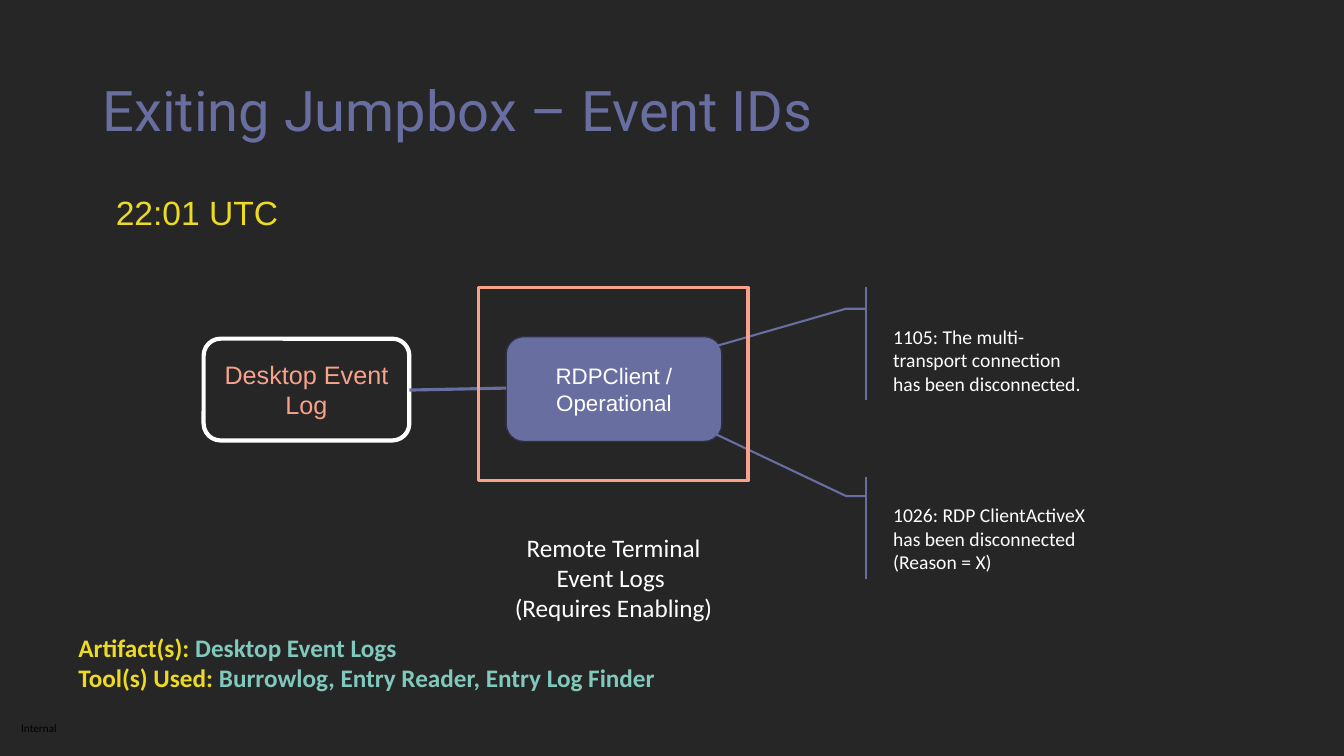
from lxml import etree
from pptx import Presentation
from pptx.dml.color import RGBColor
from pptx.enum.shapes import MSO_CONNECTOR, MSO_SHAPE
from pptx.enum.text import MSO_ANCHOR, PP_ALIGN
from pptx.oxml.ns import qn
from pptx.util import Inches, Pt

ROUNDED, RECTANGLE = MSO_SHAPE.ROUNDED_RECTANGLE, MSO_SHAPE.RECTANGLE
CALLOUT = MSO_SHAPE.LINE_CALLOUT_2_ACCENT_BAR
STRAIGHT = MSO_CONNECTOR.STRAIGHT
MIDDLE, BOTTOM, TOP = MSO_ANCHOR.MIDDLE, MSO_ANCHOR.BOTTOM, MSO_ANCHOR.TOP
LEFT, CENTER = PP_ALIGN.LEFT, PP_ALIGN.CENTER

BACKGROUND, WHITE, BLACK = "262626", "FFFFFF", "000000"
PURPLE, DARK_PURPLE = "686EA0", "2E3046"
CORAL, YELLOW, TEAL = "F8A28B", "ECDA25", "81C8BD"


def color(hex_value):
    return RGBColor.from_string(hex_value)


def write(shape, paragraphs, size, font, align=LEFT, anchor=TOP, bold=False):
    """Fill a shape with paragraphs, each a list of (text, colour) runs."""
    frame = shape.text_frame
    frame.word_wrap = True
    frame.vertical_anchor = anchor
    for index, runs in enumerate(paragraphs):
        paragraph = frame.add_paragraph() if index else frame.paragraphs[0]
        paragraph.alignment = align
        for text, hex_value in runs:
            run = paragraph.add_run()
            run.text = text
            run.font.size = Pt(size)
            run.font.name = font
            run.font.bold = bold
            run.font.color.rgb = color(hex_value)


def add_title(slide, text):
    title = slide.shapes.title
    title.left, title.top = Inches(0.92), Inches(0.4)
    title.width, title.height = Inches(11.5), Inches(1.45)
    write(title, [[(text, PURPLE)]], 40, "Roboto", anchor=MIDDLE)
    title.text_frame.paragraphs[0].line_spacing = 0.9


def add_text(slide, box, paragraphs, size, font, **style):
    text_box = slide.shapes.add_textbox(*map(Inches, box))
    write(text_box, paragraphs, size, font, **style)
    return text_box


def add_outlined(slide, kind, box, line, width, fill=None):
    shape = slide.shapes.add_shape(kind, *map(Inches, box))
    shape.shadow.inherit = False
    if fill:
        shape.fill.solid()
        shape.fill.fore_color.rgb = color(fill)
    else:
        shape.fill.background()
    shape.line.color.rgb = color(line)
    shape.line.width = Pt(width)
    return shape


def add_callout(slide, box, text, tip):
    """Add an event note whose leader ends at tip, (y, x) as shares of its size."""
    callout = add_outlined(slide, CALLOUT, box, PURPLE, 1.5)
    for index, value in enumerate((0.19, -0.08, 0.19, -0.17, *tip)):
        callout.adjustments[index] = value
    write(callout, [[(text, WHITE)]], 14, "Calibri", anchor=BOTTOM)


def add_link(slide, start, end):
    link = slide.shapes.add_connector(STRAIGHT, *map(Inches, start + end))
    link.line.color.rgb = color(PURPLE)
    link.line.width = Pt(2.25)
    etree.SubElement(link._element.spPr, qn("a:effectLst"))


def main():
    presentation = Presentation()
    presentation.slide_width, presentation.slide_height = Inches(13.33), Inches(7.5)
    slide = presentation.slides.add_slide(presentation.slide_layouts[5])
    slide.background.fill.solid()
    slide.background.fill.fore_color.rgb = color(BACKGROUND)

    label = add_text(slide, (0.21, 7.16, 0.38, 0.13), [[("Internal", BLACK)]], 8, "Calibri")
    frame = label.text_frame
    frame.margin_left = frame.margin_right = frame.margin_top = frame.margin_bottom = 0
    frame.word_wrap = False

    add_title(slide, "Exiting Jumpbox – Event IDs")

    log = add_outlined(slide, ROUNDED, (2.02, 3.36, 2.04, 1.01), WHITE, 3)
    write(log, [[("Desktop Event Log", CORAL)]], 18, "Arial", CENTER, MIDDLE)
    client = add_outlined(slide, ROUNDED, (5.02, 3.34, 2.14, 1.04), DARK_PURPLE, 1, PURPLE)
    write(client, [[("RDPClient / Operational", WHITE)]], 16, "Arial", CENTER, MIDDLE)

    add_callout(slide, (8.76, 2.85, 2.17, 1.12),
                "1105: The multi-transport connection has been disconnected.", (0.53, -0.78))
    add_callout(slide, (8.76, 4.73, 2.16, 1.01),
                "1026: RDP ClientActiveX has been disconnected (Reason = X)", (-0.44, -0.79))
    add_link(slide, (4.06, 3.87), (5.02, 3.85))

    add_text(slide, (0.68, 6.22, 6.18, 0.71), [
        [("Artifact(s): ", YELLOW), ("Desktop Event Logs", TEAL)],
        [("Tool(s) Used: ", YELLOW), ("Burrowlog, Entry Reader, Entry Log Finder", TEAL)],
    ], 18, "Calibri", bold=True)

    add_outlined(slide, RECTANGLE, (4.75, 2.85, 2.67, 1.92), CORAL, 2.25)
    caption = ("Remote Terminal", "Event Logs ", "(Requires Enabling)")
    add_text(slide, (4.84, 5.23, 2.49, 1.01), [[(line, WHITE)] for line in caption],
             18, "Calibri", align=CENTER)
    add_text(slide, (1.05, 1.85, 3.56, 0.5), [[("22:01 UTC", YELLOW)]], 24, "Arial")

    presentation.save("out.pptx")


if __name__ == "__main__":
    main()
